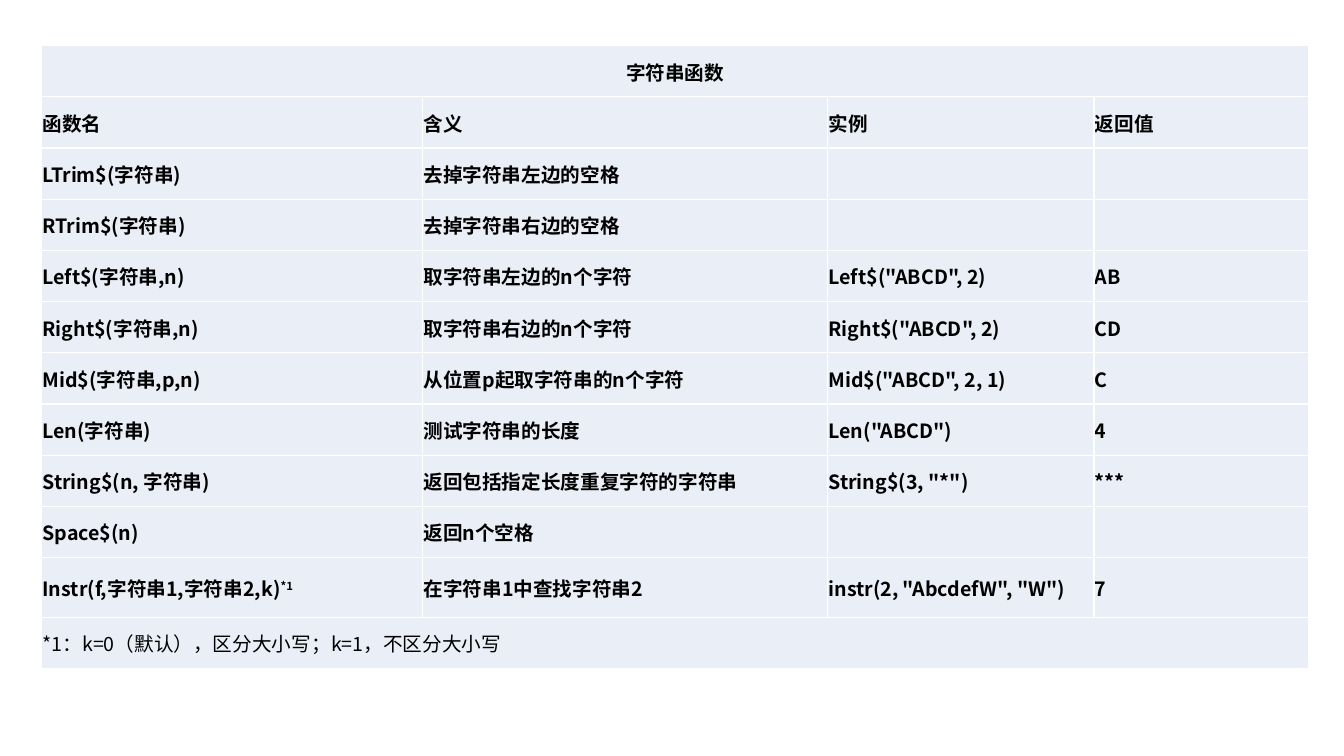
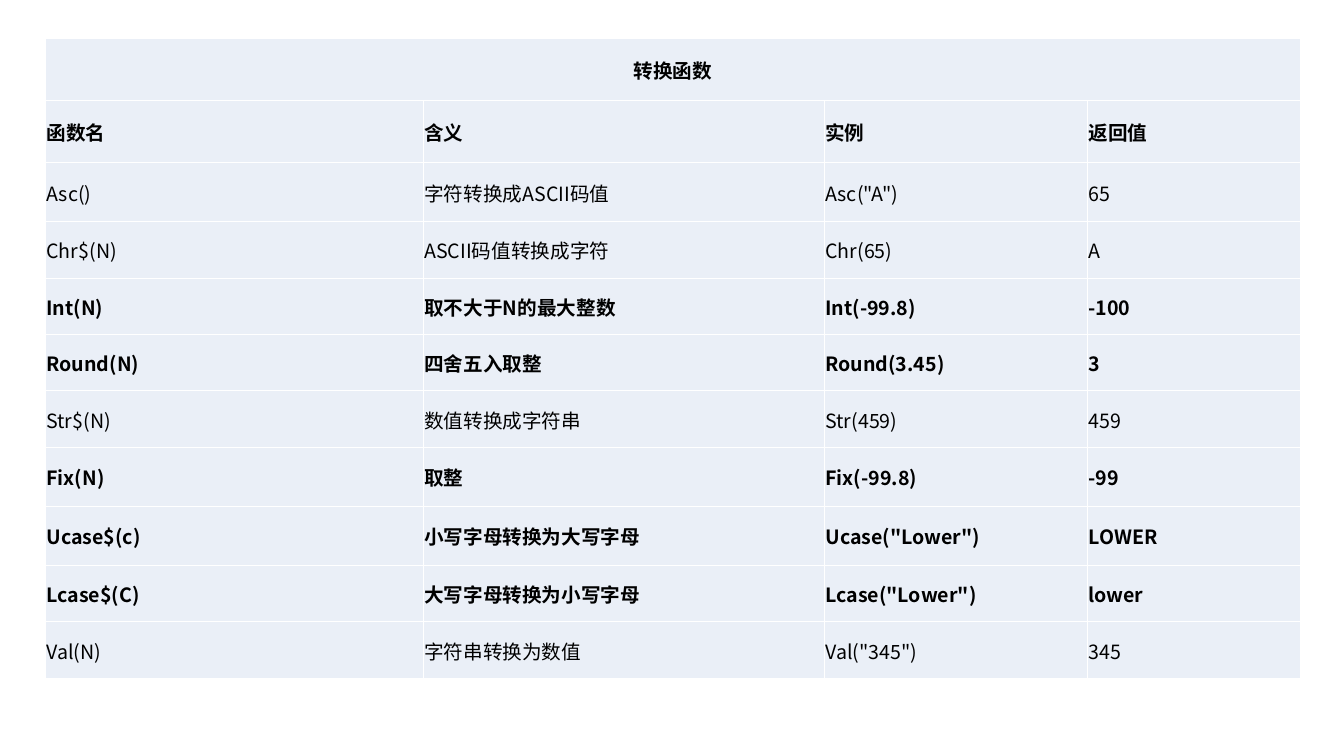
from lxml.etree import SubElement
from pptx import Presentation
from pptx.dml.color import RGBColor
from pptx.enum.text import MSO_ANCHOR, PP_ALIGN
from pptx.oxml.ns import qn
from pptx.util import Cm, Pt

FONT = "Noto Sans CJK SC"
FONT_SIZE = Pt(14)
INK = RGBColor(0x00, 0x00, 0x00)
CELL_FILL = RGBColor(0xEA, 0xEF, 0xF7)
GRID_LINE = RGBColor(0xFF, 0xFF, 0xFF)
GRID_WIDTH = Pt(1)
CELL_INSET = Cm(0.02)
SUPERSCRIPT_MARK = "^"

HEADINGS = ("函数名", "含义", "实例", "返回值")

# A row with a single entry spans the whole table.
STRING_FUNCTIONS = [
    ("字符串函数",),
    HEADINGS,
    ("LTrim$(字符串)", "去掉字符串左边的空格", "", ""),
    ("RTrim$(字符串)", "去掉字符串右边的空格", "", ""),
    ("Left$(字符串,n)", "取字符串左边的n个字符", 'Left$("ABCD", 2)', "AB"),
    ("Right$(字符串,n)", "取字符串右边的n个字符", 'Right$("ABCD", 2)', "CD"),
    ("Mid$(字符串,p,n)", "从位置p起取字符串的n个字符", 'Mid$("ABCD", 2, 1)', "C"),
    ("Len(字符串)", "测试字符串的长度", 'Len("ABCD")', "4"),
    ("String$(n, 字符串)", "返回包括指定长度重复字符的字符串", 'String$(3, "*")', "***"),
    ("Space$(n)", "返回n个空格", "", ""),
    ("Instr(f,字符串1,字符串2,k)^*1", "在字符串1中查找字符串2",
     'instr(2, "AbcdefW", "W")', "7"),
    ("*1:k=0(默认),区分大小写;k=1,不区分大小写".translate(
        str.maketrans(":(),;", "\uff1a\uff08\uff09\uff0c\uff1b")),),
]

CONVERSION_FUNCTIONS = [
    ("转换函数",),
    HEADINGS,
    ("Asc()", "字符转换成ASCII码值", 'Asc("A")', "65"),
    ("Chr$(N)", "ASCII码值转换成字符", "Chr(65)", "A"),
    ("Int(N)", "取不大于N的最大整数", "Int(-99.8)", "-100"),
    ("Round(N)", "四舍五入取整", "Round(3.45)", "3"),
    ("Str$(N)", "数值转换成字符串", "Str(459)", "459"),
    ("Fix(N)", "取整", "Fix(-99.8)", "-99"),
    ("Ucase$(c)", "小写字母转换为大写字母", 'Ucase("Lower")', "LOWER"),
    ("Lcase$(C)", "大写字母转换为小写字母", 'Lcase("Lower")', "lower"),
    ("Val(N)", "字符串转换为数值", 'Val("345")', "345"),
]


def style_cell(cell):
    """Give a cell its grid lines, fill, insets and anchor."""
    properties = cell._tc.get_or_add_tcPr()
    for side in ("a:lnL", "a:lnR", "a:lnT", "a:lnB"):
        line = SubElement(properties, qn(side), w=str(int(GRID_WIDTH)))
        line_fill = SubElement(line, qn("a:solidFill"))
        SubElement(line_fill, qn("a:srgbClr"), val=str(GRID_LINE))
    cell.fill.solid()
    cell.fill.fore_color.rgb = CELL_FILL
    cell.margin_left = cell.margin_right = cell.margin_top = CELL_INSET
    cell.margin_bottom = 0
    cell.vertical_anchor = MSO_ANCHOR.MIDDLE


def write_cell(cell, text, bold, alignment):
    """Write text in a cell; what follows the mark is superscript."""
    paragraph = cell.text_frame.paragraphs[0]
    paragraph.alignment = alignment
    font = paragraph.font
    font.size = FONT_SIZE
    font.bold = bold
    font.color.rgb = INK
    font.name = FONT
    defaults = paragraph._p.pPr.find(qn("a:defRPr"))
    SubElement(defaults, qn("a:ea"), typeface=FONT)

    body, _, note_mark = text.partition(SUPERSCRIPT_MARK)
    paragraph.add_run().text = body
    if note_mark:
        note_run = paragraph.add_run()
        note_run.text = note_mark
        note_run._r.get_or_add_rPr().set("baseline", "30000")


def add_function_table(slide, left, top, widths, heights, entries, regular_rows):
    """Add a reference table of functions; sizes are in centimetres."""
    table = slide.shapes.add_table(
        len(entries), len(widths), Cm(left), Cm(top),
        Cm(sum(widths)), Cm(sum(heights))).table
    table.first_row = table.horz_banding = False
    for column, width in zip(table.columns, widths):
        column.width = Cm(width)
    for row, height in zip(table.rows, heights):
        row.height = Cm(height)
    for cell in table.iter_cells():
        style_cell(cell)

    for index, entry in enumerate(entries):
        if len(entry) == 1:
            table.cell(index, 0).merge(table.cell(index, len(widths) - 1))
        alignment = PP_ALIGN.CENTER if index == 0 else PP_ALIGN.LEFT
        for column, text in enumerate(entry):
            if text:
                write_cell(table.cell(index, column), text,
                           index not in regular_rows, alignment)


def main():
    """Build the two slides of function tables."""
    deck = Presentation()
    deck.slide_width, deck.slide_height = Cm(33.87), Cm(19.05)
    blank = deck.slide_layouts[6]

    add_function_table(
        deck.slides.add_slide(blank), 1.05, 1.15,
        widths=(9.6, 10.21, 6.71, 5.41),
        heights=[1.29] * 10 + [1.5, 1.29],
        entries=STRING_FUNCTIONS, regular_rows={11})

    add_function_table(
        deck.slides.add_slide(blank), 1.15, 0.98,
        widths=(9.52, 10.11, 6.63, 5.36),
        heights=[1.56] * 2 + [1.49] + [1.42] * 4 + [1.49] * 2 + [1.42] * 2,
        entries=CONVERSION_FUNCTIONS, regular_rows={2, 3, 6, 10})

    deck.save("out.pptx")


main()
